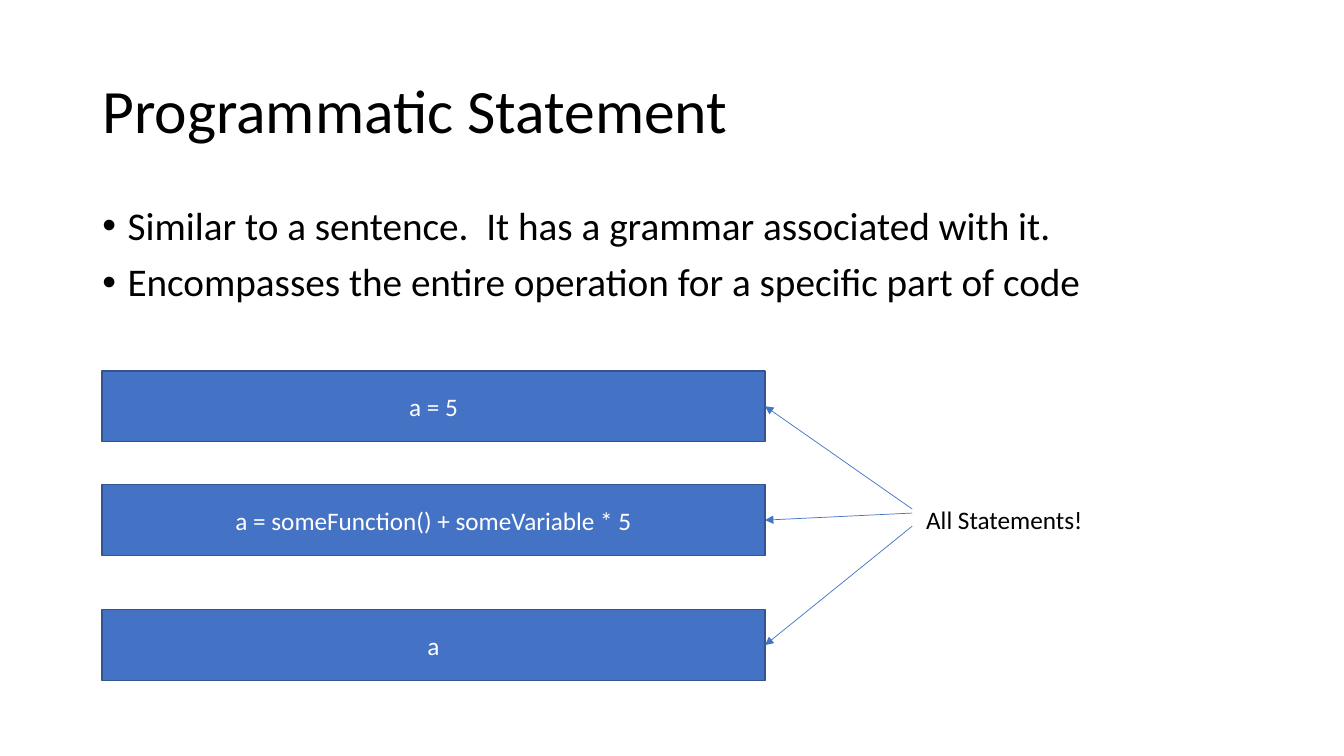
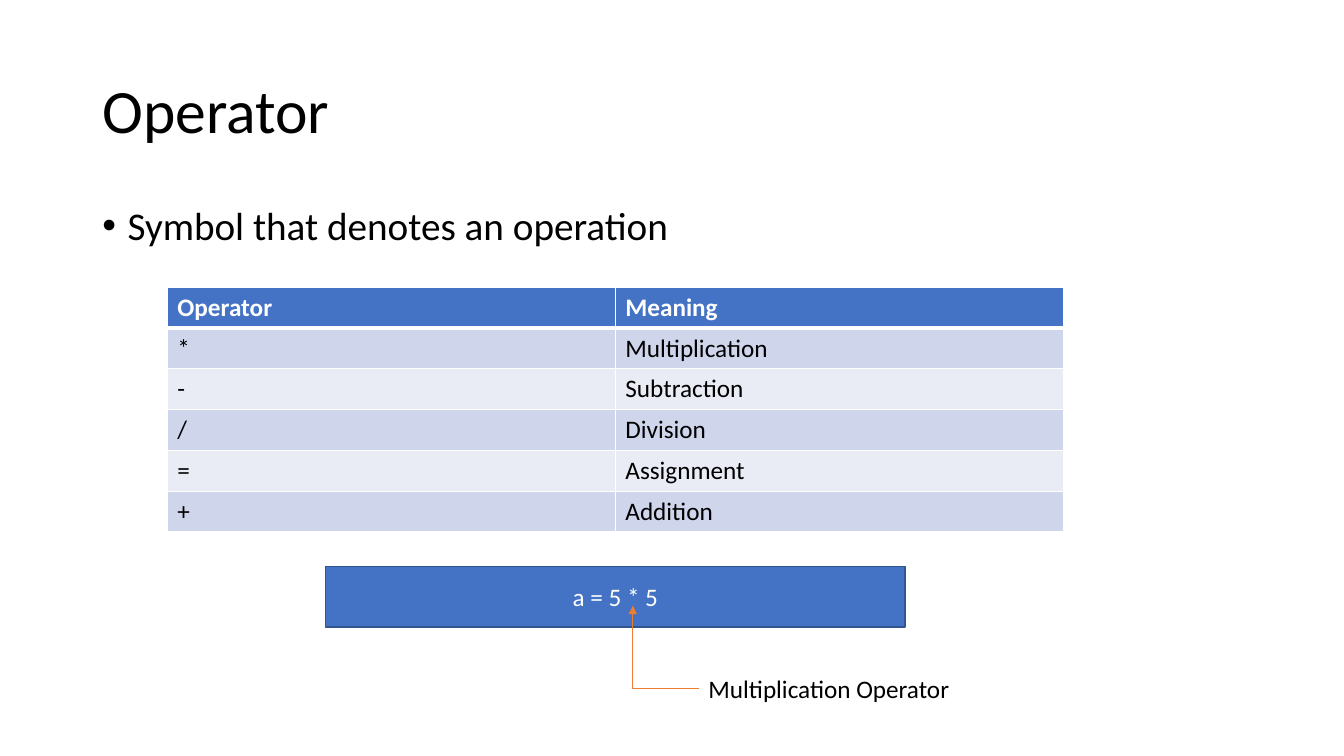
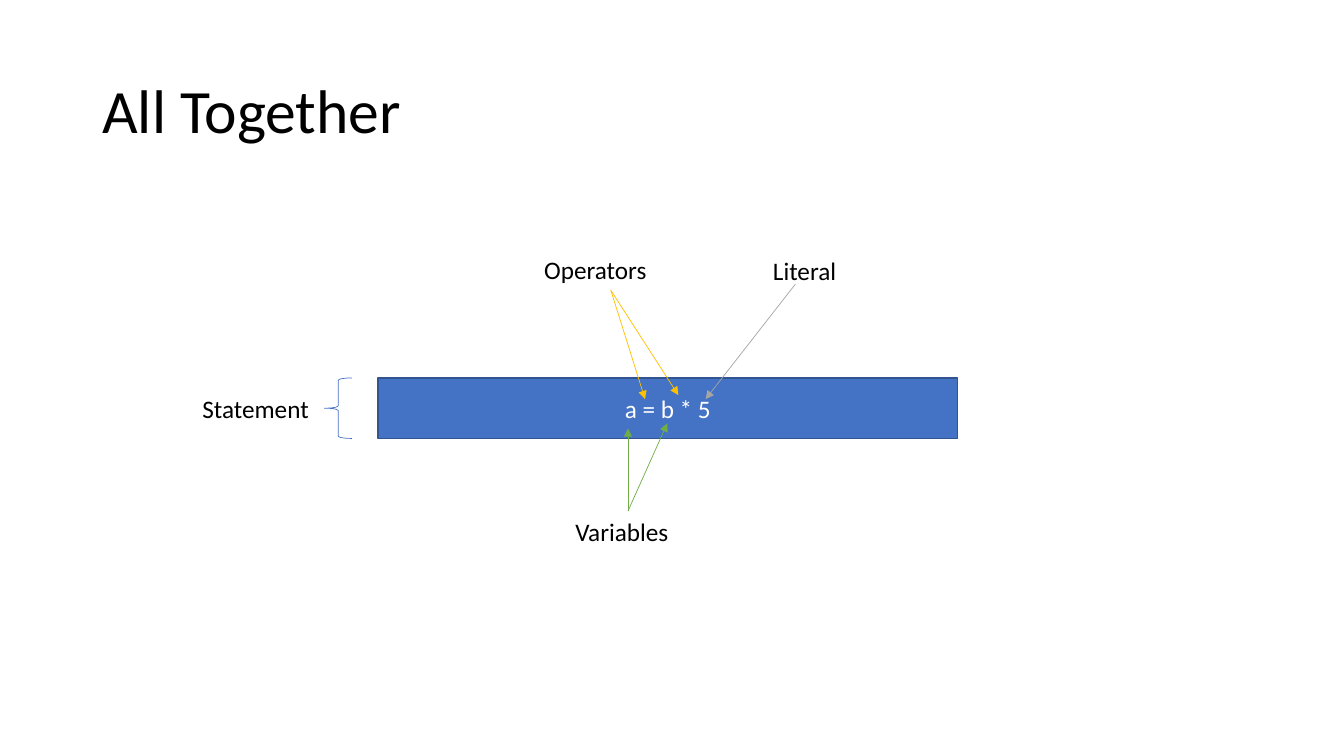
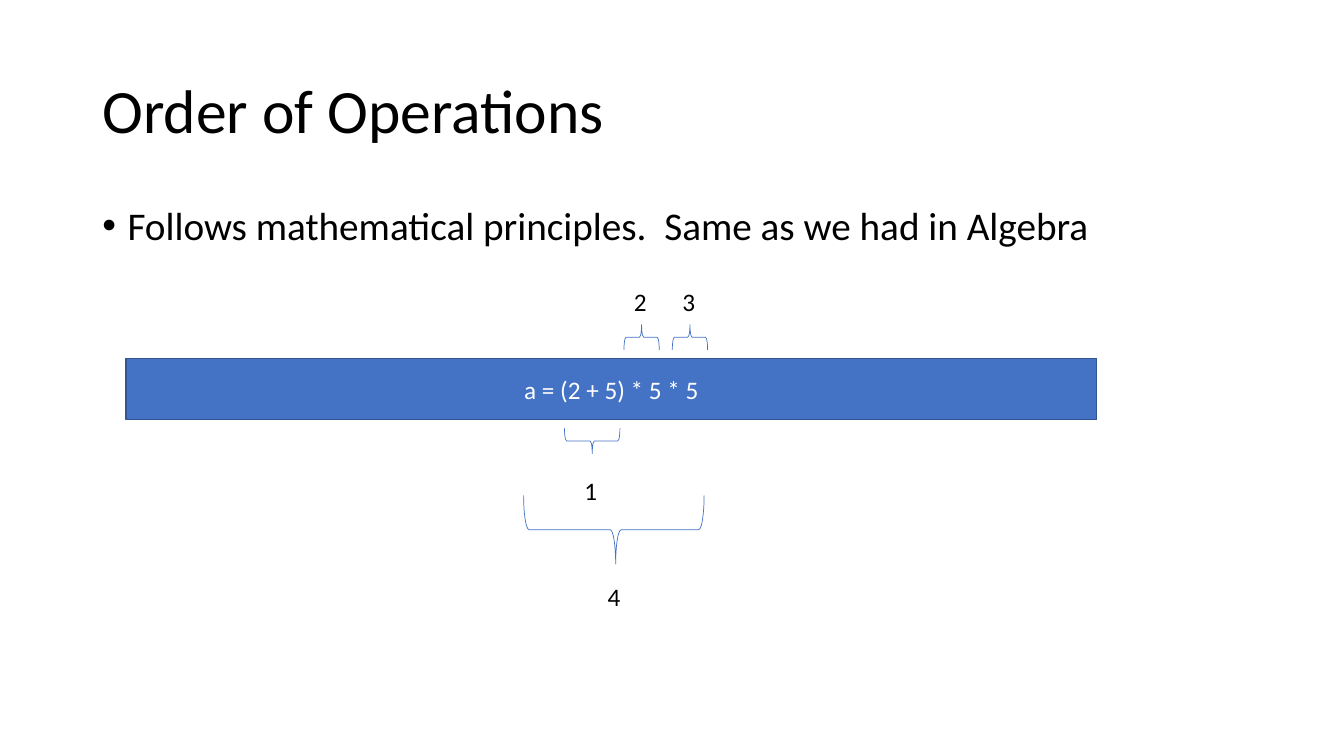
from dataclasses import dataclass

from lxml import etree
from pptx import Presentation
from pptx.dml.color import RGBColor
from pptx.enum.shapes import MSO_CONNECTOR, MSO_SHAPE
from pptx.enum.text import MSO_ANCHOR, MSO_AUTO_SIZE, PP_ALIGN
from pptx.oxml.ns import qn
from pptx.util import Inches, Pt

RECTANGLE = MSO_SHAPE.RECTANGLE
LEFT_BRACE, RIGHT_BRACE = MSO_SHAPE.LEFT_BRACE, MSO_SHAPE.RIGHT_BRACE
STRAIGHT, ELBOW = MSO_CONNECTOR.STRAIGHT, MSO_CONNECTOR.ELBOW
MIDDLE, CENTER = MSO_ANCHOR.MIDDLE, PP_ALIGN.CENTER
GROW = MSO_AUTO_SIZE.SHAPE_TO_FIT_TEXT

BLACK = RGBColor(0x00, 0x00, 0x00)
WHITE = RGBColor(0xFF, 0xFF, 0xFF)
BLUE = RGBColor(0x44, 0x72, 0xC4)
DARK_BLUE = RGBColor(0x32, 0x54, 0x91)
ORANGE = RGBColor(0xED, 0x7D, 0x31)
GRAY = RGBColor(0xA5, 0xA5, 0xA5)
GOLD = RGBColor(0xFF, 0xC0, 0x00)
GREEN = RGBColor(0x70, 0xAD, 0x47)
BANDS = (RGBColor(0xE9, 0xEB, 0xF5), RGBColor(0xCF, 0xD5, 0xEA))

FONT = "Calibri"
THIN = Pt(0.5)
COLUMNS, ROWS = 80, 45
BAR_HEIGHT, LABEL_HEIGHT = 3.6, 2.4

TITLE_FONT = {"name": FONT, "size": Pt(44)}
BODY_FONT = {"name": FONT, "size": Pt(28)}
SMALL_FONT = {"name": FONT, "size": Pt(18)}
HEADER_FONT = {**SMALL_FONT, "bold": True}
TITLE_PARAGRAPH = {"line_spacing": 0.9}
BODY_PARAGRAPH = {"line_spacing": 0.9, "space_before": Pt(10)}
BULLET_INDENT = {"marL": str(Inches(0.25)), "indent": str(-Inches(0.25))}

deck = Presentation()
deck.slide_width, deck.slide_height = Inches(13.33), Inches(7.5)
BLANK = deck.slide_layouts[6]


def across(columns):
    return round(deck.slide_width * columns / COLUMNS)


def down(rows):
    return round(deck.slide_height * rows / ROWS)


@dataclass(frozen=True)
class Box:
    left: float
    top: float
    width: float
    height: float

    def inside(self, x, y, width, height):
        return Box(self.left + x, self.top + y, width, height)

    def point(self, x, y):
        return self.left + x, self.top + y

    def share(self, x, y):
        return self.point(self.width * x, self.height * y)

    def turned(self):
        center_x, center_y = self.share(0.5, 0.5)
        return Box(center_x - self.height / 2, center_y - self.width / 2,
                   self.height, self.width)

    def frame(self):
        return (across(self.left), down(self.top),
                across(self.width), down(self.height))


TITLE_BOX = Box(5.5, 2.4, 69, 8.7)
BODY_BOX = Box(5.5, 12, 69, 28.56)


def apply(target, values):
    for attribute, value in values.items():
        setattr(target, attribute, value)


def write(paragraph, text, font, color=BLACK, layout=None):
    apply(paragraph, layout or {})
    run = paragraph.add_run()
    run.text = text
    apply(run.font, font)
    run.font.color.rgb = color


def add_text(slide, box, lines, font, layout=None, **frame_values):
    frame = slide.shapes.add_textbox(*box.frame()).text_frame
    apply(frame, {"word_wrap": True, **frame_values})
    for index, line in enumerate(lines):
        paragraph = frame.add_paragraph() if index else frame.paragraphs[0]
        write(paragraph, line, font, layout=layout)
    return frame


def add_label(slide, box, text):
    add_text(slide, box, [text], SMALL_FONT, auto_size=GROW)


def add_page(title, bullets=()):
    slide = deck.slides.add_slide(BLANK)
    add_text(slide, TITLE_BOX, [title], TITLE_FONT, TITLE_PARAGRAPH,
             vertical_anchor=MIDDLE)
    if bullets:
        body = add_text(slide, BODY_BOX, bullets, BODY_FONT, BODY_PARAGRAPH)
        for paragraph in body.paragraphs:
            properties = paragraph._p.get_or_add_pPr()
            for name, value in BULLET_INDENT.items():
                properties.set(name, value)
            etree.SubElement(properties, qn("a:buFont"), typeface="Arial")
            etree.SubElement(properties, qn("a:buChar"), char="•")
    return slide


def add_code_bar(slide, box, code):
    bar = slide.shapes.add_shape(RECTANGLE, *box.frame())
    bar.shadow.inherit = False
    bar.fill.solid()
    bar.fill.fore_color.rgb = BLUE
    bar.line.color.rgb = DARK_BLUE
    bar.line.width = Pt(1)
    bar.text_frame.vertical_anchor = MIDDLE
    write(bar.text_frame.paragraphs[0], code, SMALL_FONT, WHITE,
          {"alignment": CENTER})


def add_brace(slide, box, kind, rotation=0, adjustments=()):
    outline = box.turned() if rotation else box
    brace = slide.shapes.add_shape(kind, *outline.frame())
    brace.shadow.inherit = False
    brace.rotation = rotation
    brace.fill.background()
    brace.line.color.rgb = BLUE
    brace.line.width = THIN
    for index, value in enumerate(adjustments):
        brace.adjustments[index] = value


def add_arrow(slide, start, end, color, kind=STRAIGHT):
    arrow = slide.shapes.add_connector(
        kind, across(start[0]), down(start[1]), across(end[0]), down(end[1]))
    arrow.line.color.rgb = color
    arrow.line.width = THIN
    properties = arrow.element.spPr
    etree.SubElement(properties.find(qn("a:ln")), qn("a:tailEnd"),
                     type="triangle")
    etree.SubElement(properties, qn("a:effectLst"))
    return arrow


def add_corner_arrow(slide, start, end, color):
    properties = add_arrow(slide, end, start, color, ELBOW).element.spPr
    properties.find(qn("a:prstGeom")).set("prst", "bentConnector2")
    properties.find(qn("a:xfrm")).set("rot", "10800000")


def add_cell_borders(cell, widths):
    properties = cell._tc.get_or_add_tcPr()
    for index, (side, width) in enumerate(widths.items()):
        border = etree.Element(qn(f"a:ln{side}"), w=str(Pt(width)))
        fill = etree.SubElement(border, qn("a:solidFill"))
        etree.SubElement(fill, qn("a:srgbClr"), val=str(WHITE))
        properties.insert(index, border)


def add_operator_table(slide, box, entries):
    table = slide.shapes.add_table(
        len(entries), len(entries[0]), *box.frame()).table
    for row, entry in enumerate(entries):
        header = row == 0
        widths = {"L": 1, "R": 1, "T": 3 if row == 1 else 1,
                  "B": 3 if header else 1}
        for column, text in enumerate(entry):
            cell = table.cell(row, column)
            cell.fill.solid()
            cell.fill.fore_color.rgb = BLUE if header else BANDS[row % 2]
            add_cell_borders(cell, widths)
            write(cell.text_frame.paragraphs[0], text,
                  HEADER_FONT if header else SMALL_FONT,
                  WHITE if header else BLACK)


def draw_statements(slide, box):
    add_label(slide, box.inside(48.48, 7.62, 12.66, LABEL_HEIGHT),
              "All Statements!")
    statements = (("a = 5", 0, 8.22),
                  ("a = someFunction() + someVariable * 5", 6.78, 8.46),
                  ("a", 14.22, 9.24))
    for code, top, arrow_start in statements:
        bar = box.inside(0, top, 39.48, 4.2)
        add_code_bar(slide, bar, code)
        add_arrow(slide, box.point(48.24, arrow_start), bar.share(1, 0.5),
                  BLUE)


def draw_operators(slide, box):
    add_operator_table(slide, box.inside(0, 0, box.width, 14.58), (
        ("Operator", "Meaning"), ("*", "Multiplication"),
        ("-", "Subtraction"), ("/", "Division"),
        ("=", "Assignment"), ("+", "Addition")))
    bar = box.inside(9.42, 16.62, 34.5, BAR_HEIGHT)
    caption = box.inside(31.62, 22.68, 17.22, LABEL_HEIGHT)
    add_code_bar(slide, bar, "a = 5 * 5")
    add_label(slide, caption, "Multiplication Operator")
    add_corner_arrow(slide, caption.share(0, 0.5), bar.share(0.53, 0.65),
                     ORANGE)


def draw_anatomy(slide, box):
    add_code_bar(slide, box.inside(11.04, 7.68, 34.5, BAR_HEIGHT),
                 "a = b * 5")
    add_brace(slide, box.inside(7.86, 7.68, 1.62, BAR_HEIGHT), LEFT_BRACE)
    terms = (("Statement", 0, 8.28, 14.28),
             ("Variables", 22.2, 15.6, 14.28),
             ("Operators", 20.34, 0, 9.18),
             ("Literal", 33.96, 0.06, 9.18))
    for term, x, y, width in terms:
        add_label(slide, box.inside(x, y, width, LABEL_HEIGHT), term)
    pointers = ((GRAY, (35.88, 2.1), ((30.54, 8.94),)),
                (GOLD, (24.9, 2.46), ((28.92, 8.7), (26.94, 8.94))),
                (GREEN, (25.92, 15.6), ((28.26, 10.38), (25.92, 10.68))))
    for color, start, targets in pointers:
        for target in targets:
            add_arrow(slide, box.point(*start), box.point(*target), color)


def draw_precedence(slide, box):
    add_code_bar(slide, box.inside(0, 4.62, box.width, BAR_HEIGHT),
                 "a = (2 + 5) * 5 * 5")
    steps = (
        ("1", (26.7, 11.28), (26.1, 8.76, 3.3, 1.5), RIGHT_BRACE, 90, ()),
        ("2", (29.64, 0), (29.64, 2.58, 2.1, 1.5), RIGHT_BRACE, 270, ()),
        ("3", (32.52, 0), (32.52, 2.58, 2.1, 1.5), RIGHT_BRACE, 270, ()),
        ("4", (28.08, 17.58), (23.67, 12.75, 10.74, 4.08), LEFT_BRACE, 270,
         (0.08, 0.51)))
    for number, corner, span, kind, rotation, adjustments in steps:
        add_brace(slide, box.inside(*span), kind, rotation, adjustments)
        add_label(slide, box.inside(*corner, 1.92, LABEL_HEIGHT), number)


draw_statements(add_page("Programmatic Statement", (
    "Similar to a sentence.  It has a grammar associated with it.",
    "Encompasses the entire operation for a specific part of code")),
    Box(6.06, 22.08, 61.14, 18.42))
draw_operators(add_page("Operator", ("Symbol that denotes an operation",)),
               Box(9.96, 17.1, 53.34, 25.08))
draw_anatomy(add_page("All Together"), Box(11.46, 14.82, 45.54, 18))
draw_precedence(add_page("Order of Operations", (
    "Follows mathematical principles.  Same as we had in Algebra",)),
    Box(7.5, 16.74, 57.78, 19.98))

deck.save("out.pptx")
